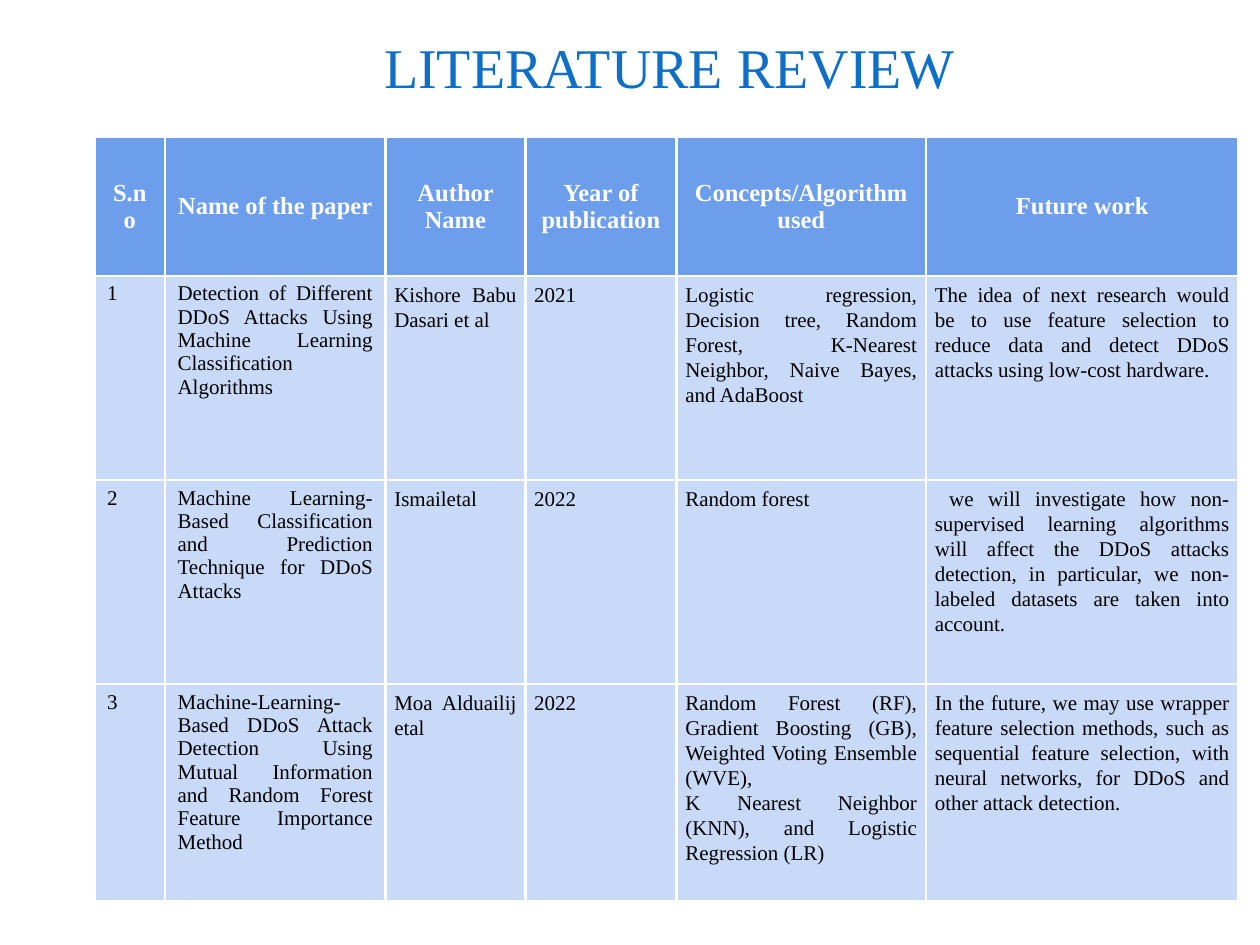
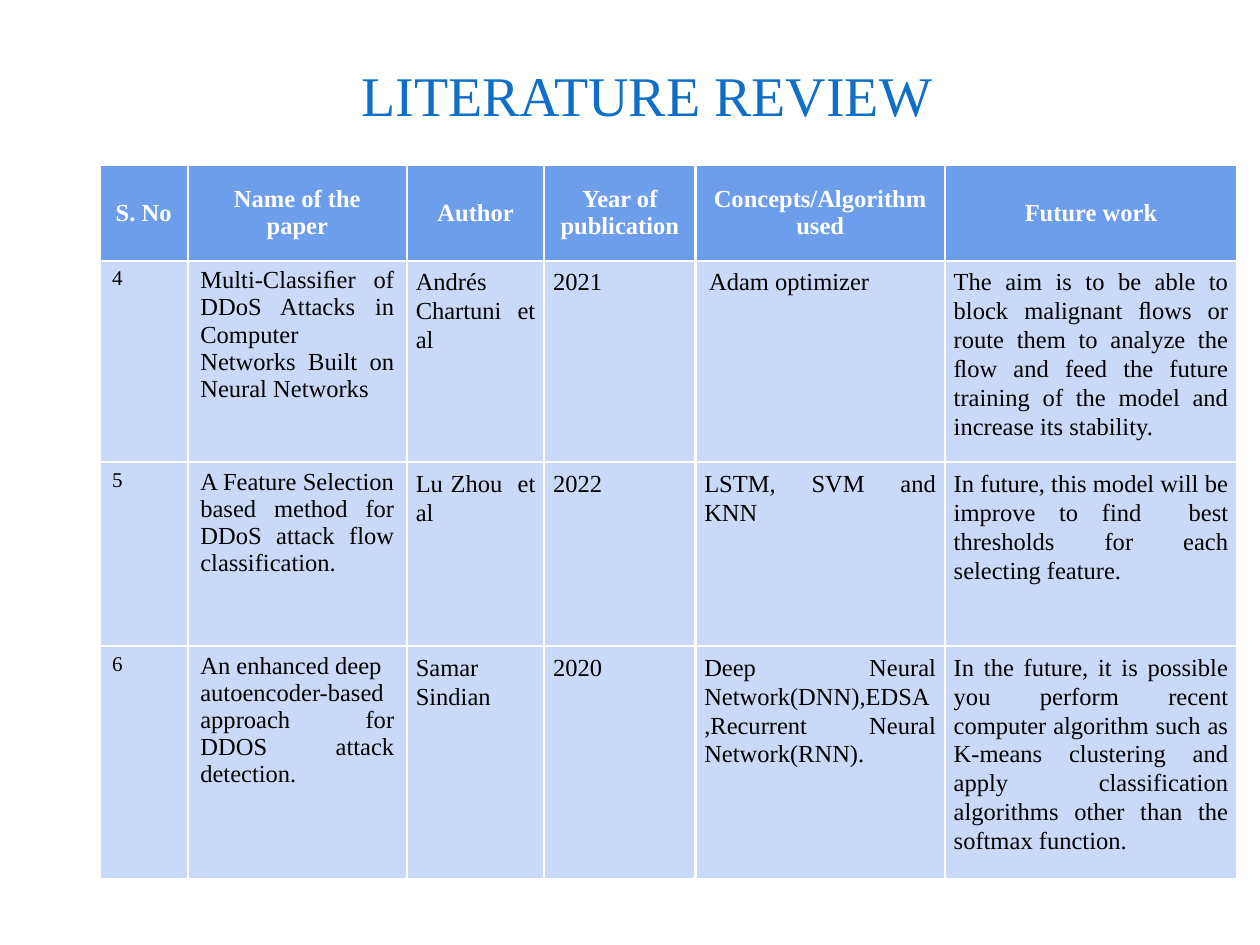
from lxml import etree
from pptx import Presentation
from pptx.dml.color import RGBColor
from pptx.enum import text
from pptx.oxml import ns
from pptx.util import Inches, Pt

FONT = "Times New Roman"
BLUE = RGBColor(0x0F, 0x6F, 0xC6)
HEAD = RGBColor(0x6D, 0x9E, 0xEB)
BODY = RGBColor(0xC9, 0xDA, 0xF8)
WHITE = RGBColor(0xFF, 0xFF, 0xFF)
BLACK = RGBColor(0, 0, 0)
ALIGN = text.PP_ALIGN
ANCHOR = text.MSO_ANCHOR


def style(par, size, color, align, bold=False):
    par.alignment = align
    font = par.font
    font.name, font.size, font.bold = FONT, Pt(size), bold
    font.color.rgb = color


def border(cell):
    props = cell._tc.get_or_add_tcPr()
    for side in ("lnL", "lnR", "lnT", "lnB"):
        line = etree.SubElement(props, ns.qn("a:" + side), w=str(Pt(1.5)))
        fill = etree.SubElement(line, ns.qn("a:solidFill"))
        etree.SubElement(fill, ns.qn("a:srgbClr"), val=str(WHITE))


pages = [
    {
        "title": (2.95, 0.21, 5.16, 0.64),
        "inset": (0.1, 0.05, 0.1, 0.05),
        "anchor": ANCHOR.TOP,
        "align": ALIGN.LEFT,
        "place": (0.75, 1.09),
        "cols": (0.56, 1.75, 1.11, 1.2, 1.98, 2.48),
        "rows": (1.1, 1.62, 1.62, 1.72),
        "size": 12,
        "cells": [
            ("S.no", "Name of the paper", "Author Name", "Year of publication",
             "Concepts/Algorithm used", "Future work"),
            ("1",
             "Detection of Different DDoS Attacks Using Machine Learning "
             "Classification Algorithms",
             "Kishore Babu Dasari et al", "2021",
             "Logistic regression, Decision tree, Random Forest, K-Nearest "
             "Neighbor, Naive Bayes, and AdaBoost",
             "The idea of next research would be to use feature selection to "
             "reduce data and detect DDoS attacks using low-cost hardware."),
            ("2",
             "Machine Learning-Based Classification and Prediction Technique "
             "for DDoS Attacks",
             "Ismailetal", "2022", "Random forest",
             " we will investigate how non-supervised learning algorithms will "
             "affect the DDoS attacks detection, in particular, we non-labeled "
             "datasets are taken into account."),
            ("3",
             "Machine-Learning-Based DDoS Attack Detection Using Mutual "
             "Information and Random Forest Feature Importance Method",
             "Moa Alduailij etal", "2022",
             "Random Forest (RF), Gradient Boosting (GB), Weighted Voting "
             "Ensemble (WVE),\n"
             "K Nearest Neighbor (KNN), and Logistic Regression (LR)",
             "In the future, we may use wrapper feature selection methods, "
             "such as sequential feature selection, with neural networks, for "
             "DDoS and other attack detection."),
        ],
    },
    {
        "title": (0.61, 0.29, 9.05, 0.72),
        "inset": (0, 0.05, 0, 0),
        "anchor": ANCHOR.BOTTOM,
        "align": ALIGN.CENTER,
        "place": (0.79, 1.31),
        "cols": (0.7, 1.74, 1.09, 1.2, 1.98, 2.32),
        "rows": (0.76, 1.4, 1.46, 1.46),
        "size": 14,
        "cells": [
            ("S. No", "Name of the paper", "Author", "Year of publication",
             "Concepts/Algorithm used", "Future work"),
            ("4",
             "Multi-Classiﬁer of DDoS Attacks in Computer Networks Built on "
             "Neural Networks",
             "Andrés Chartuni  et al", "2021", " Adam optimizer",
             "The aim is to be able to block malignant ﬂows or route them to "
             "analyze the ﬂow and feed the future training of the model and "
             "increase its stability."),
            ("5",
             "A Feature Selection based method for DDoS attack flow "
             "classification.",
             "Lu Zhou  et al", "2022", "LSTM, SVM and KNN",
             "In future, this model will be improve to find  best thresholds "
             "for each selecting feature."),
            ("6",
             "An enhanced deep\n"
             "autoencoder-based approach for DDOS attack detection.",
             "Samar Sindian", "2020",
             "Deep Neural Network(DNN),EDSA,Recurrent Neural Network(RNN).",
             "In the future, it is possible you perform recent computer "
             "algorithm such as K-means clustering and apply classification "
             "algorithms other than the softmax function."),
        ],
    },
]

deck = Presentation()
deck.slide_width, deck.slide_height = Inches(10), Inches(7.5)

for page in pages:
    slide = deck.slides.add_slide(deck.slide_layouts[6])

    title = slide.shapes.add_textbox(*map(Inches, page["title"])).text_frame
    title.word_wrap = True
    title.vertical_anchor = page["anchor"]
    (title.margin_left, title.margin_top,
     title.margin_right, title.margin_bottom) = map(Inches, page["inset"])
    title.text = "LITERATURE REVIEW"
    style(title.paragraphs[0], 32, BLUE, page["align"])

    cols, rows = page["cols"], page["rows"]
    table = slide.shapes.add_table(
        len(rows), len(cols), *map(Inches, page["place"]),
        Inches(sum(cols)), Inches(sum(rows))).table
    table.first_row = table.horz_banding = False
    for col, width in zip(table.columns, cols):
        col.width = Inches(width)
    for row, height in zip(table.rows, rows):
        row.height = Inches(height)

    for r, line in enumerate(page["cells"]):
        for c, words in enumerate(line):
            cell = table.cell(r, c)
            head = r == 0
            loose = not head and c > 1
            border(cell)
            cell.fill.solid()
            cell.fill.fore_color.rgb = HEAD if head else BODY
            cell.vertical_anchor = ANCHOR.MIDDLE if head else ANCHOR.TOP
            cell.margin_left = cell.margin_right = Inches(0.07 if loose else 0.1)
            cell.margin_top = cell.margin_bottom = Inches(0.05)
            cell.text = words
            for par in cell.text_frame.paragraphs:
                if head:
                    style(par, 14, WHITE, ALIGN.CENTER, True)
                else:
                    size = page["size"] if c else 12
                    style(par, size, BLACK, ALIGN.JUSTIFY)
                if loose:
                    par.line_spacing = 1.07

deck.save("out.pptx")
